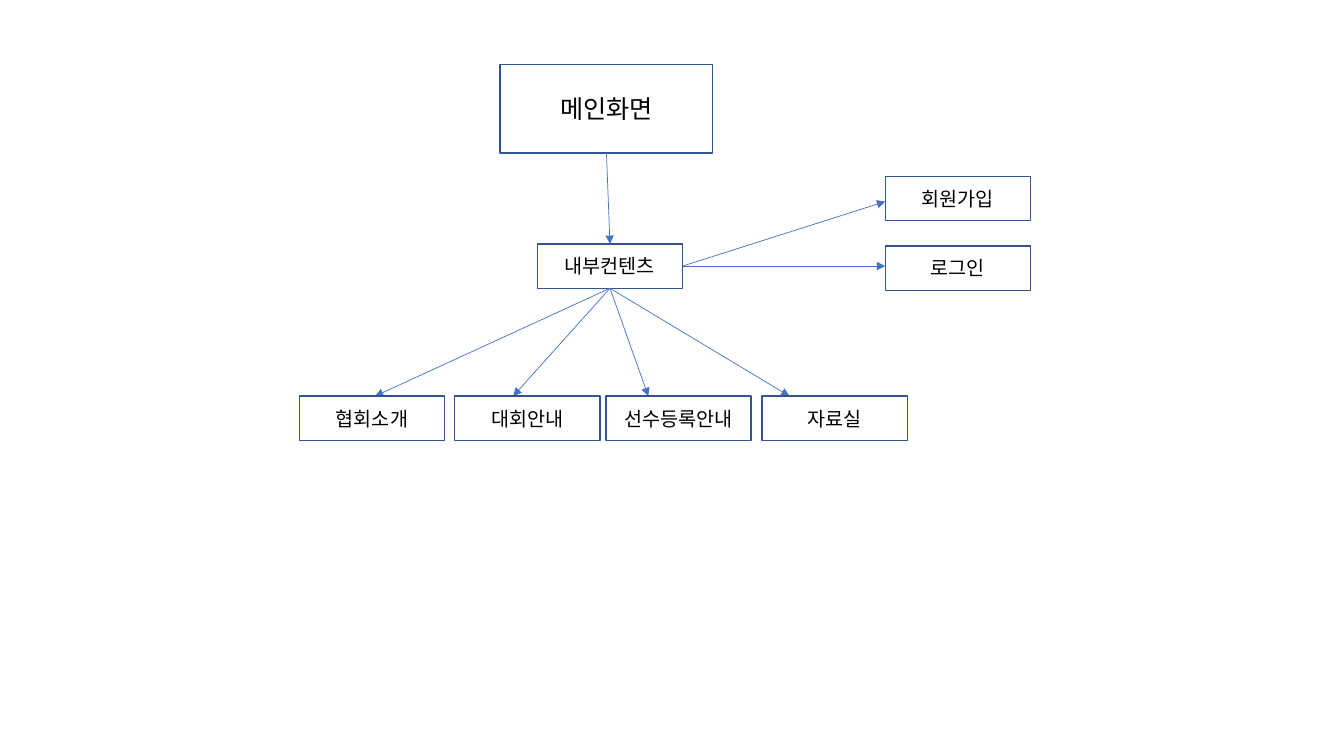
from dataclasses import dataclass

import pptx
import pptx.dml.color
import pptx.enum.shapes
import pptx.enum.text
import pptx.oxml
import pptx.oxml.ns
import pptx.shapes.autoshape
import pptx.slide
import pptx.util
from pptx.util import Inches


@dataclass(frozen=True)
class Theme:
    font: str = "Noto Sans CJK KR"
    text: str = "000000"
    border: str = "325491"
    arrow: str = "4472C4"
    title_size: int = 18
    body_size: int = 14
    border_width: float = 1
    arrow_width: float = 0.5


@dataclass(frozen=True)
class Box:
    text: str
    left: float
    top: float
    width: float = 1.44
    height: float = 0.44
    size: int = Theme.body_size


@dataclass(frozen=True)
class Branch:
    box: Box
    entry_x: float
    entry_y: float


THEME = Theme()
BOTTOM, RIGHT = 2, 3
MENU_TOP = 3.93
SIDE_LEFT = 8.78

MAIN = Box("메인화면", 4.96, 0.64, 2.11, 0.88, THEME.title_size)
CONTENT = Box("내부컨텐츠", 5.33, 2.42)
MENU = [
    Branch(Box(text, left, MENU_TOP), entry_x, MENU_TOP)
    for text, left, entry_x in [
        ("협회소개", 2.97, 3.72),
        ("대회안내", 4.51, 5.09),
        ("선수등록안내", 6.01, 6.43),
        ("자료실", 7.56, 7.83),
    ]
]
ACCOUNT = [
    Branch(Box(text, SIDE_LEFT, top), SIDE_LEFT, entry_y)
    for text, top, entry_y in [("회원가입", 1.75, 2.0), ("로그인", 2.44, 2.64)]
]


def rgb(value: str) -> pptx.dml.color.RGBColor:
    return pptx.dml.color.RGBColor.from_string(value)


def add_box(slide: pptx.slide.Slide, box: Box) -> pptx.shapes.autoshape.Shape:
    sp = slide.shapes.add_shape(
        pptx.enum.shapes.MSO_SHAPE.RECTANGLE,
        Inches(box.left), Inches(box.top), Inches(box.width), Inches(box.height),
    )
    sp.shadow.inherit = False
    sp.fill.background()
    sp.line.color.rgb = rgb(THEME.border)
    sp.line.width = pptx.util.Pt(THEME.border_width)
    tf = sp.text_frame
    tf.text = box.text
    tf.vertical_anchor = pptx.enum.text.MSO_ANCHOR.MIDDLE
    p = tf.paragraphs[0]
    p.alignment = pptx.enum.text.PP_ALIGN.CENTER
    r = p.runs[0]
    r.font.name = THEME.font
    r.font.size = pptx.util.Pt(box.size)
    r.font.color.rgb = rgb(THEME.text)
    ea = pptx.oxml.parse_xml(f'<a:ea {pptx.oxml.ns.nsdecls("a")} typeface="{THEME.font}"/>')
    r.font._element.find(pptx.oxml.ns.qn("a:latin")).addnext(ea)
    return sp


def add_arrow(
    slide: pptx.slide.Slide, source: pptx.shapes.autoshape.Shape,
    site: int, end_x: float, end_y: float,
) -> None:
    line = slide.shapes.add_connector(
        pptx.enum.shapes.MSO_CONNECTOR.STRAIGHT,
        source.left, source.top, Inches(end_x), Inches(end_y),
    )
    line.begin_connect(source, site)
    line.line.color.rgb = rgb(THEME.arrow)
    line.line.width = pptx.util.Pt(THEME.arrow_width)
    ns = pptx.oxml.ns.nsdecls("a")
    ln = line.line._get_or_add_ln()
    ln.append(pptx.oxml.parse_xml(f'<a:tailEnd {ns} type="triangle"/>'))
    ln.addnext(pptx.oxml.parse_xml(f"<a:effectLst {ns}/>"))


def add_branches(
    slide: pptx.slide.Slide, source: pptx.shapes.autoshape.Shape,
    site: int, branches: list[Branch],
) -> None:
    for branch in branches:
        add_arrow(slide, source, site, branch.entry_x, branch.entry_y)
        add_box(slide, branch.box)


prs = pptx.Presentation()
prs.slide_width, prs.slide_height = Inches(13.33), Inches(7.5)
slide = prs.slides.add_slide(prs.slide_layouts[6])

main = add_box(slide, MAIN)
content = add_box(slide, CONTENT)
add_arrow(slide, main, BOTTOM, CONTENT.left + CONTENT.width / 2, CONTENT.top)
add_branches(slide, content, BOTTOM, MENU)
add_branches(slide, content, RIGHT, ACCOUNT)

prs.save("out.pptx")
